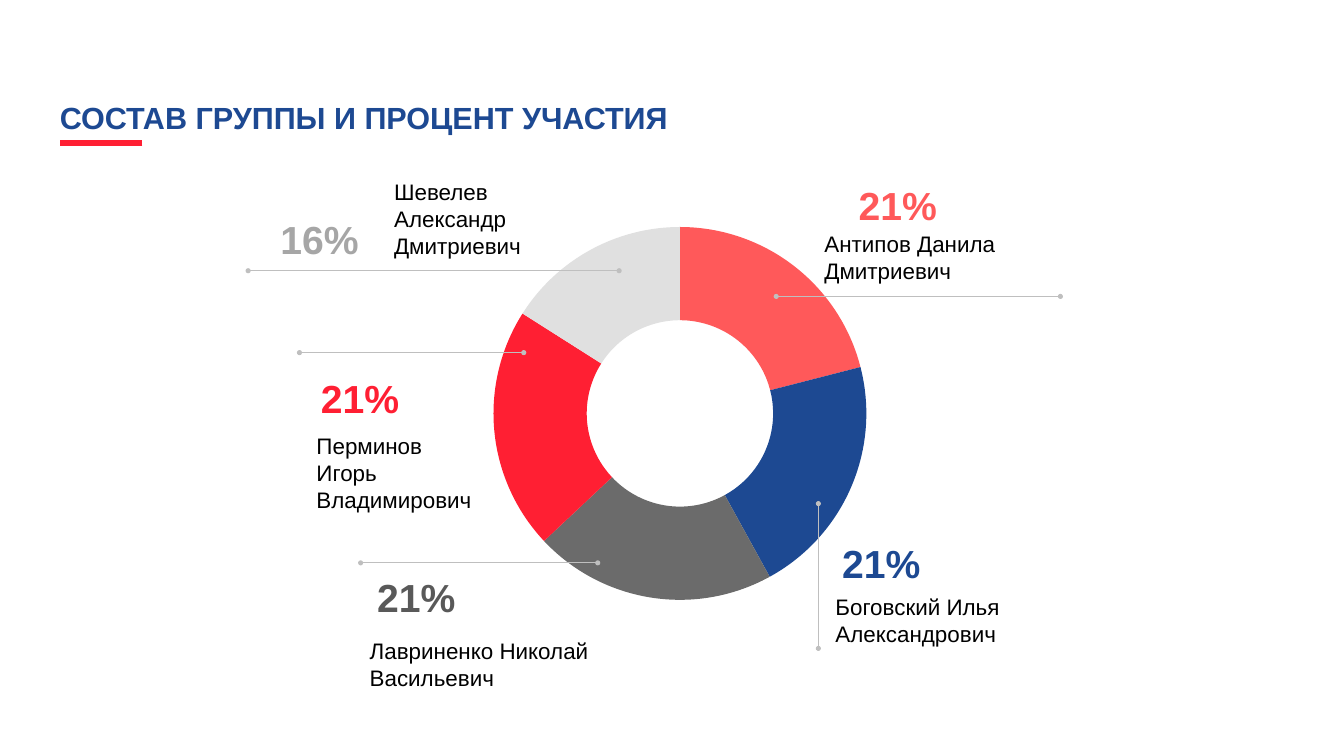
from lxml import etree
from pptx import Presentation
from pptx.chart.data import CategoryChartData
from pptx.dml.color import RGBColor
from pptx.enum import chart as ch, shapes, text
from pptx.oxml import parse_xml
from pptx.oxml.ns import nsdecls, qn
from pptx.util import Inches, Pt

BLACK = RGBColor(0x00, 0x00, 0x00)
BLUE = RGBColor(0x1D, 0x49, 0x92)
CORAL = RGBColor(0xFF, 0x59, 0x5A)
RED = RGBColor(0xFF, 0x1F, 0x33)
GRAY = RGBColor(0x6B, 0x6B, 0x6B)
DARK_GRAY = RGBColor(0x59, 0x59, 0x59)
MID_GRAY = RGBColor(0xA6, 0xA6, 0xA6)
LIGHT_GRAY = RGBColor(0xE0, 0xE0, 0xE0)
LINE_GRAY = RGBColor(0xBF, 0xBF, 0xBF)

prs = Presentation()
prs.slide_width, prs.slide_height = Inches(21.99), Inches(12.37)
slide = prs.slides.add_slide(prs.slide_layouts[6])


def add_text(words, left, top, width, height, size=26.4, color=BLACK,
             bold=False, wrap=True, align=text.PP_ALIGN.LEFT):
    sp = slide.shapes.add_textbox(*map(Inches, (left, top, width, height)))
    tf = sp.text_frame
    tf.word_wrap = wrap
    p = tf.paragraphs[0]
    p.alignment = align
    r = p.add_run()
    r.text = words
    r.font.name, r.font.size, r.font.bold = "Arial", Pt(size), bold
    r.font.color.rgb = color
    return tf


def add_line(x1, y1, x2, y2, color=LINE_GRAY, width=1, ends="oval"):
    """Draw a line without shadow; ends names the marker on both ends."""
    line = slide.shapes.add_connector(
        shapes.MSO_CONNECTOR.STRAIGHT, *map(Inches, (x1, y1, x2, y2)))
    line.line.color.rgb = color
    line.line.width = Pt(width)
    ln = line.line._get_or_add_ln()
    for tag in ("a:headEnd", "a:tailEnd"):
        etree.SubElement(ln, qn(tag), type=ends)
    etree.SubElement(line._element.spPr, qn("a:effectLst"))


title = add_text("СОСТАВ ГРУППЫ И ПРОЦЕНТ УЧАСТИЯ", 0.98, 1.6, 14.04, 0.59,
                 size=36, color=BLUE, bold=True)
title.margin_left = title.margin_right = title.margin_bottom = 0
title.margin_top = Inches(0.01)
title.paragraphs[0].space_before = Pt(0.9)
title.paragraphs[0].line_spacing = 1.01
add_line(2.33, 2.34, 0.99, 2.34, color=RED, width=6, ends="none")

# Doughnut of shares
data = CategoryChartData()
data.categories = ["1", "2", "3", "4", "5"]
data.add_series("Series 1", (21, 21, 21, 21, 16))
chart = slide.shapes.add_chart(
    ch.XL_CHART_TYPE.DOUGHNUT,
    *map(Inches, (7.88, 3.57, 6.49, 6.39)), data).chart
chart.has_legend = chart.has_title = False
chart.font.name, chart.font.size = "Calibri", Pt(10)
chart.font.color.rgb = BLACK
plot = chart.plots[0]
plot.vary_by_categories = True
for i, color in enumerate((CORAL, BLUE, GRAY, RED, LIGHT_GRAY)):
    point = plot.series[0].points[i].format
    point.fill.solid()
    point.fill.fore_color.rgb = color
    point.line.fill.background()
plot._element.find(qn("c:holeSize")).set("val", "60")

area = chart._chartSpace.chart.plotArea
for old in area.findall(qn("c:layout")):
    area.remove(old)
area.insert(0, parse_xml(
    f'<c:layout {nsdecls("c")}><c:manualLayout><c:layoutTarget val="inner"/>'
    '<c:xMode val="edge"/><c:yMode val="edge"/><c:x val="0.03"/><c:y val="0.02"/>'
    '<c:w val="0.94"/><c:h val="0.96"/></c:manualLayout></c:layout>'))

# share, colour, share position, name, name box, callout line
members = [
    ("21%", CORAL, (13.94, 2.92), "Антипов Данила Дмитриевич",
     (13.39, 3.71, 4.61, 0.99), (17.35, 4.85, 12.7, 4.85)),
    ("21%", BLUE, (13.67, 8.77), "Боговский Илья Александрович",
     (13.57, 9.66, 5.19, 0.99), (13.39, 8.24, 13.39, 10.61)),
    ("21%", DARK_GRAY, (6.06, 9.34), "Лавриненко Николай Васильевич",
     (5.95, 10.37, 4.41, 0.99), (5.9, 9.21, 9.78, 9.21)),
    ("21%", RED, (5.14, 6.08), "Перминов Игорь Владимирович",
     (5.08, 7.02, 2.79, 1.88), (8.57, 5.77, 4.9, 5.77)),
    ("16%", MID_GRAY, (4.48, 3.48), "Шевелев Александр Дмитриевич",
     (6.35, 2.87, 2.97, 1.43), (10.13, 4.43, 4.06, 4.43)),
]
for share, color, share_at, name, name_box, callout in members:
    add_line(*callout)
    add_text(share, *share_at, 1.5, 0.88, size=46.1, color=color, bold=True,
             wrap=False, align=text.PP_ALIGN.CENTER)
    add_text(name, *name_box)

prs.save("out.pptx")
